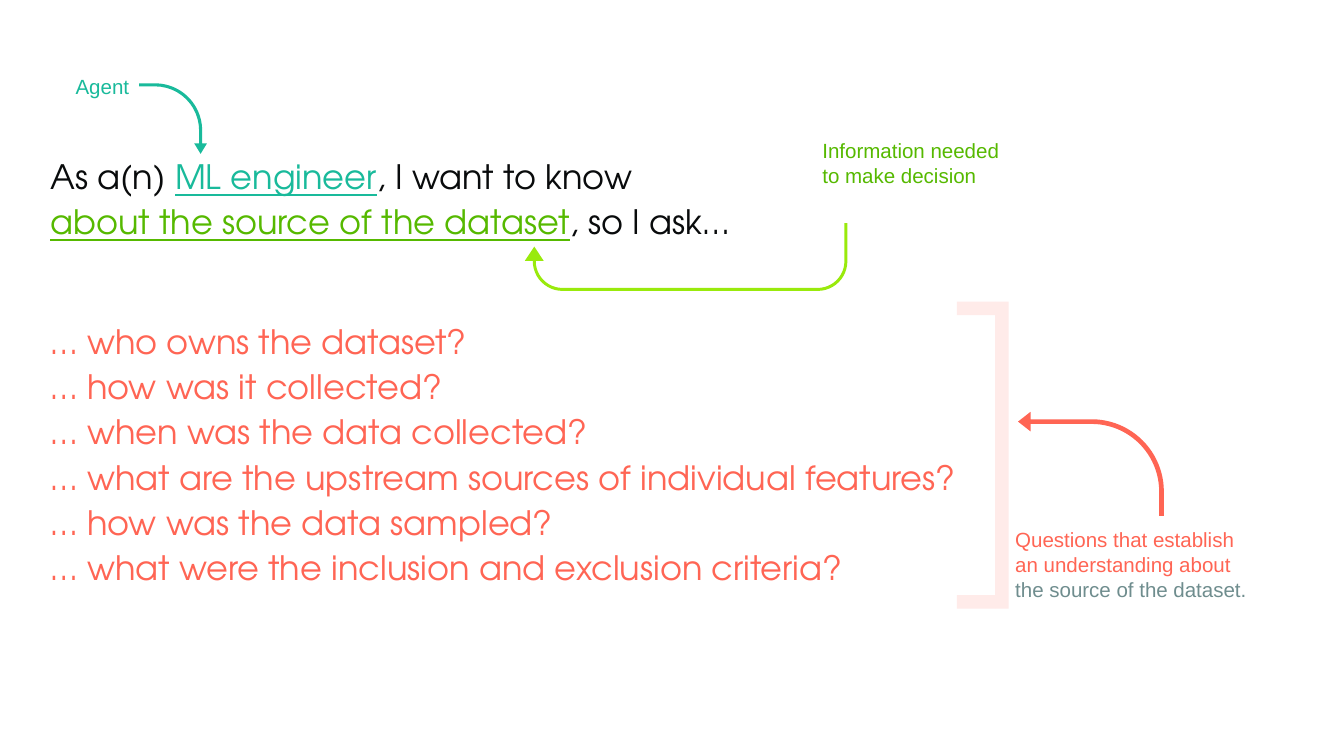
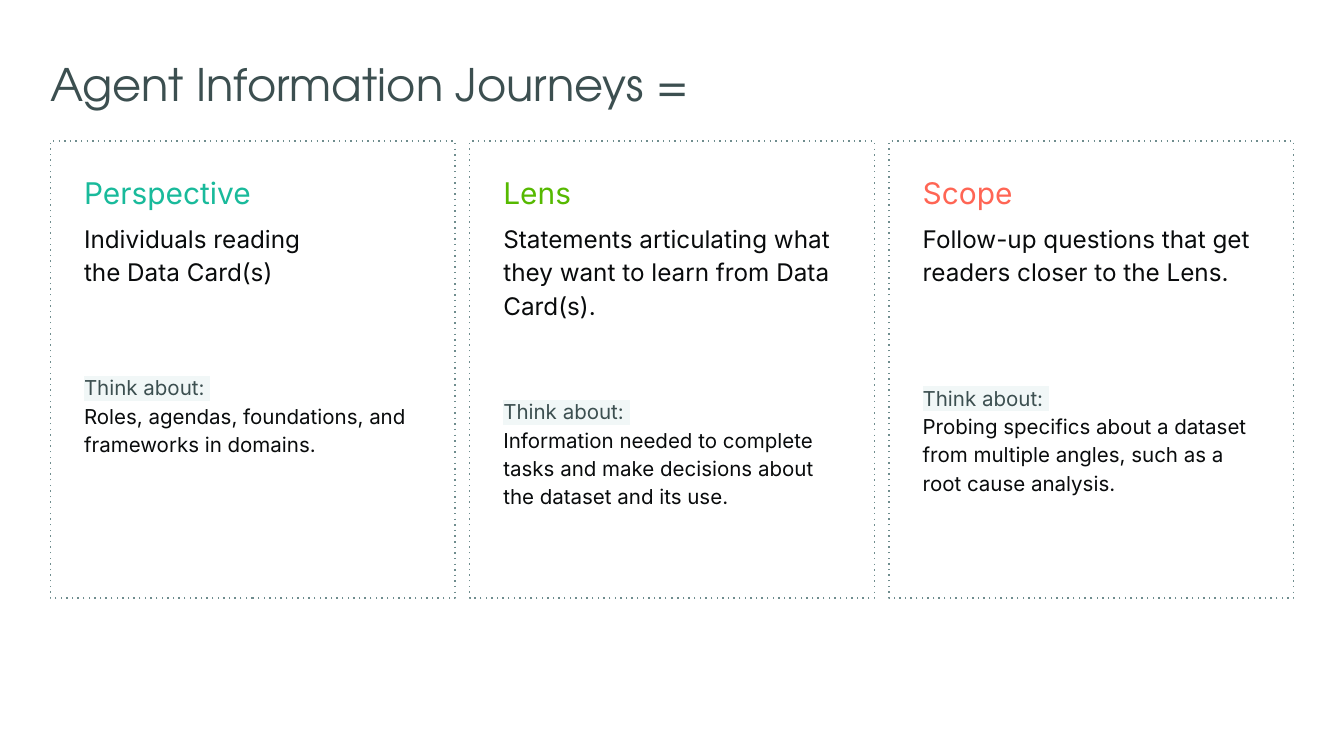
from dataclasses import dataclass

import pptx
import pptx.dml.color
import pptx.enum.dml
import pptx.enum.shapes
import pptx.enum.text
import pptx.oxml
import pptx.oxml.ns
import pptx.util

SCALE = 9144
SHAPES = pptx.enum.shapes.MSO_SHAPE
ALIGN = pptx.enum.text.PP_ALIGN
ANCHOR = pptx.enum.text.MSO_ANCHOR


@dataclass(frozen=True)
class Theme:
    ink: str = "090B0C"
    slate: str = "3C4F50"
    grey: str = "6F8D8E"
    teal: str = "19BA9B"
    green: str = "56B900"
    lime: str = "99EA0C"
    coral: str = "FF6554"
    blush: str = "FFEBE9"
    mist: str = "F1F7F7"
    display: str = "TeX Gyre Adventor"
    body: str = "Inter"
    label: str = "Arial"
    title_size: int = 48
    story_size: int = 36
    heading_size: int = 32
    summary_size: int = 26
    small_size: int = 22


THEME = Theme()


@dataclass(frozen=True)
class Span:
    text: str
    color: str
    underline: bool = False
    highlight: str = ""


@dataclass(frozen=True)
class Para:
    spans: tuple
    font: str
    size: int
    before: int = 0
    spacing: float = 1.0
    align: ALIGN = ALIGN.LEFT


def px(value):
    return pptx.util.Emu(value * SCALE)


def rgb(color):
    return pptx.dml.color.RGBColor.from_string(color)


def add_highlight(run, color):
    mark = pptx.oxml.parse_xml(
        f'<a:highlight {pptx.oxml.ns.nsdecls("a")}><a:srgbClr val="{color}"/></a:highlight>'
    )
    run.font.fill._xPr.find(pptx.oxml.ns.qn("a:solidFill")).addnext(mark)


def add_span(paragraph, span):
    for number, line in enumerate(span.text.split("\n")):
        if number:
            paragraph.add_line_break()
        if not line:
            continue
        run = paragraph.add_run()
        run.text = line
        run.font.color.rgb = rgb(span.color)
        if span.underline:
            run.font.underline = True
        if span.highlight:
            add_highlight(run, span.highlight)


def write(box, paras, inset=0, anchor=ANCHOR.TOP):
    frame = box.text_frame
    frame.word_wrap = True
    frame.vertical_anchor = anchor
    frame.margin_left = frame.margin_right = px(inset)
    frame.margin_top = frame.margin_bottom = px(inset)
    for number, para in enumerate(paras):
        paragraph = frame.add_paragraph() if number else frame.paragraphs[0]
        paragraph.alignment = para.align
        paragraph.line_spacing = para.spacing
        if para.before:
            paragraph.space_before = pptx.util.Pt(para.before)
        paragraph.font.name = para.font
        paragraph.font.size = pptx.util.Pt(para.size)
        for span in para.spans:
            add_span(paragraph, span)


def add_text(page, bounds, paras, **options):
    box = page.shapes.add_textbox(*map(px, bounds))
    write(box, paras, **options)


def add_title(page, height, paras):
    add_text(page, (75, 74, 1850, height), paras, anchor=ANCHOR.MIDDLE)


def add_label(page, bounds, *spans, align=ALIGN.LEFT):
    para = Para(spans, THEME.label, THEME.small_size, align=align)
    add_text(page, bounds, [para], inset=10)


def add_solid(page, kind, bounds, color, adjustments=(), rotation=0, flip=False):
    shape = page.shapes.add_shape(kind, *map(px, bounds))
    shape.shadow.inherit = False
    shape.fill.solid()
    shape.fill.fore_color.rgb = rgb(color)
    shape.line.fill.background()
    for number, value in enumerate(adjustments):
        shape.adjustments[number] = value
    shape.rotation = rotation
    if flip:
        shape._element.spPr.xfrm.set("flipH", "1")


def add_bracket(page, left, top, width, height, thickness):
    bars = (
        (left + width - thickness, top, thickness, height),
        (left, top, width - thickness, thickness),
        (left, top + height - thickness, width - thickness, thickness),
    )
    for bounds in bars:
        add_solid(page, SHAPES.RECTANGLE, bounds, THEME.blush)


def add_card(page, bounds, heading, color, summary, hint, gap):
    card = page.shapes.add_shape(SHAPES.RECTANGLE, *map(px, bounds))
    card.shadow.inherit = False
    card.fill.background()
    card.line.color.rgb = rgb(THEME.grey)
    card.line.width = pptx.util.Pt(1.5)
    card.line.dash_style = pptx.enum.dml.MSO_LINE.ROUND_DOT
    card._element.spPr.find(".//" + pptx.oxml.ns.qn("a:prstDash")).set("val", "dot")
    think = Span("Think about: \n", THEME.slate, highlight=THEME.mist)
    paras = (
        Para((Span(heading, color),), THEME.body, THEME.heading_size),
        Para((Span(summary, THEME.ink),), THEME.body, THEME.summary_size, 10, 1.15),
        Para((think, Span(hint, THEME.ink)), THEME.body, THEME.small_size, gap, 1.15),
    )
    write(card, paras, inset=50)


def build_example(page):
    statement = (
        Span("As a(n) ", THEME.ink),
        Span("ML engineer", THEME.teal, underline=True),
        Span(", I want to know\n", THEME.ink),
        Span("about the source of the dataset", THEME.green, underline=True),
        Span(", so I ask…", THEME.ink),
    )
    questions = "\n".join((
        "… who owns the dataset?",
        "… how was it collected?",
        "… when was the data collected?",
        "… what are the upstream sources of individual features?",
        "… how was the data sampled?",
        "… what were the inclusion and exclusion criteria?",
    ))
    add_title(page, 951, (
        Para(statement, THEME.display, THEME.story_size, spacing=1.12),
        Para((Span(questions, THEME.coral),), THEME.display, THEME.story_size, 80, 1.12),
    ))
    add_label(page, (75, 100, 127, 57), Span("Agent", THEME.teal), align=ALIGN.RIGHT)
    add_label(page, (1214, 196, 284, 131),
              Span("Information needed to make decision", THEME.green))
    add_label(page, (1501, 775, 424, 131),
              Span("Questions that establish\nan understanding about\n", THEME.coral),
              Span("the source of the dataset.", THEME.grey))
    add_solid(page, SHAPES.BENT_ARROW, (205, 126, 105, 101), THEME.teal,
              (0.045, 0.094, 0.154, 0.694), rotation=90)
    add_solid(page, SHAPES.U_TURN_ARROW, (781, 332, 480, 101), THEME.lime,
              (0.044, 0.139, 0.21, 0.438, 0.653), rotation=180)
    add_solid(page, SHAPES.BENT_ARROW, (1515, 613, 217, 155), THEME.coral,
              (0.045, 0.094, 0.12, 0.694), flip=True)
    add_bracket(page, 1424, 449, 77, 457, 20)


def build_journeys(page):
    title = Span("Agent Information Journeys =", THEME.slate)
    add_title(page, 100, [Para((title,), THEME.display, THEME.title_size)])
    cards = (
        ("Perspective", THEME.teal, "Individuals reading\nthe Data Card(s)",
         "Roles, agendas, foundations, and frameworks in domains.", 91),
        ("Lens", THEME.green,
         "Statements articulating what they want to learn from Data Card(s).",
         "Information needed to complete tasks and make decisions about "
         "the dataset and its use.", 81),
        ("Scope", THEME.coral, "Follow-up questions that get readers closer to the Lens.",
         "Probing specifics about a dataset from multiple angles, such as "
         "a root cause analysis.", 102),
    )
    width, gap = 602, 22
    for number, card in enumerate(cards):
        add_card(page, (75 + number * (width + gap), 210, width, 680), *card)


def main():
    deck = pptx.Presentation()
    deck.slide_width, deck.slide_height = px(2000), px(1100)
    for build in (build_example, build_journeys):
        build(deck.slides.add_slide(deck.slide_layouts[6]))
    deck.save("out.pptx")


if __name__ == "__main__":
    main()
